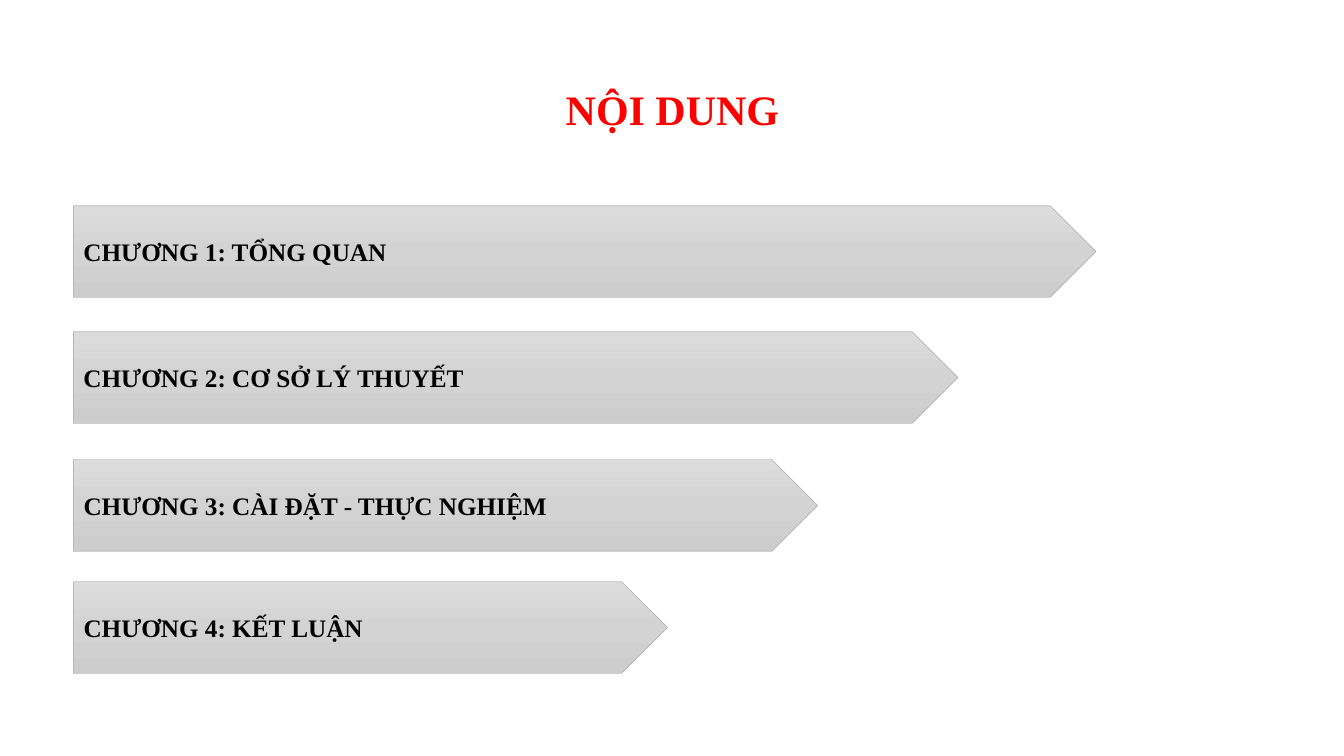
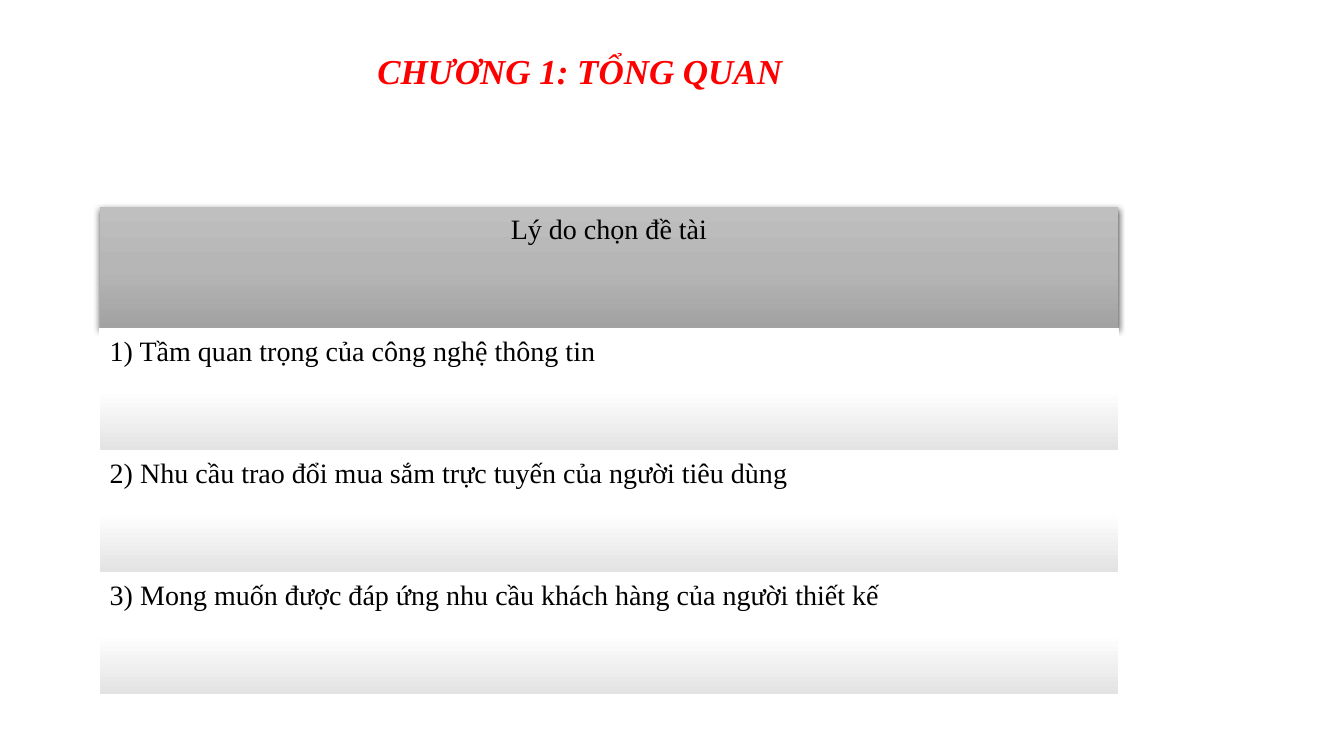
from copy import deepcopy
from dataclasses import dataclass

from lxml.etree import SubElement
from pptx import Presentation
from pptx.dml.color import RGBColor
from pptx.enum.shapes import MSO_SHAPE
from pptx.enum.text import MSO_ANCHOR, PP_ALIGN
from pptx.oxml.ns import qn
from pptx.util import Inches, Pt

# Content: each chapter has its text, top and arrow length in inches
CONTENTS_TITLE = "NỘI DUNG"
CHAPTERS = [
    ("CHƯƠNG 1: TỔNG QUAN", 2.04, 10.14),
    ("CHƯƠNG 2: CƠ SỞ LÝ THUYẾT", 3.29, 8.77),
    ("CHƯƠNG 3: CÀI ĐẶT - THỰC NGHIỆM", 4.56, 7.38),
    ("CHƯƠNG 4: KẾT LUẬN", 5.77, 5.89),
]
OVERVIEW_TITLE = "CHƯƠNG 1: TỔNG QUAN"
REASONS_HEADING = "Lý do chọn đề tài"
REASONS = [
    "1) Tầm quan trọng của công nghệ thông tin",
    "2) Nhu cầu trao đổi mua sắm trực tuyến của người tiêu dùng",
    "3) Mong muốn được đáp ứng nhu cầu khách hàng của người thiết kế",
]


@dataclass(frozen=True)
class Theme:
    font: str = "Times New Roman"
    title_color: str = "FF0000"
    text_color: str = "000000"
    contents_title_size: int = 30
    chapter_title_size: int = 25
    chapter_size: int = 18
    reason_size: int = 20
    arrow_gradient: tuple = ("DCDCDC", "D3D3D3", "CDCDCD")
    arrow_line: str = "B6B6B6"
    heading_gradient: tuple = ("BFBFBF", "B6B6B6", "A2A2A2")
    reason_gradient: tuple = ("FFFFFF", "FFFFFF", "E3E3E3")
    reason_line: str = "FFFFFF"
    line_width: float = 0.5


THEME = Theme()


def write_text(shape, text, size, color=THEME.text_color, bold=False, italic=False,
               align=PP_ALIGN.LEFT, anchor=MSO_ANCHOR.MIDDLE):
    frame = shape.text_frame
    frame.word_wrap = True
    frame.vertical_anchor = anchor
    frame.text = text
    paragraph = frame.paragraphs[0]
    paragraph.alignment = align
    font = paragraph.runs[0].font
    font.name, font.size = THEME.font, Pt(size)
    font.bold, font.italic = bold, italic
    font.color.rgb = RGBColor.from_string(color)


def fill_gradient(shape, colors):
    """Fill from top to bottom with evenly spaced colours."""
    shape.fill.gradient()
    shape.fill.gradient_angle = 270
    stop_list = next(shape._element.iter(qn("a:gsLst")))
    for _ in colors[2:]:
        stop_list.insert(1, deepcopy(stop_list[0]))
    for index, (stop, color) in enumerate(zip(shape.fill.gradient_stops, colors)):
        stop.position = index / (len(colors) - 1)
        stop.color.rgb = RGBColor.from_string(color)


def add_panel(slide, kind, box, gradient, line_color=None):
    shape = slide.shapes.add_shape(kind, *map(Inches, box))
    shape.shadow.inherit = False
    fill_gradient(shape, gradient)
    if line_color:
        shape.line.color.rgb = RGBColor.from_string(line_color)
        shape.line.width = Pt(THEME.line_width)
    else:
        shape.line.fill.background()
    return shape


def add_drop_shadow(shape):
    effects = shape._element.spPr.find(qn("a:effectLst"))
    shadow = SubElement(effects, qn("a:outerShdw"), blurRad=str(Pt(4.5)),
                        dist=str(Pt(1.5)), dir="5400000", rotWithShape="0")
    color = SubElement(shadow, qn("a:srgbClr"), val="000000")
    SubElement(color, qn("a:alpha"), val="63000")


def add_titled_slide(presentation, text, box, size, italic=False, anchor=MSO_ANCHOR.MIDDLE):
    slide = presentation.slides.add_slide(presentation.slide_layouts[5])
    title = slide.shapes.title
    title.left, title.top, title.width, title.height = map(Inches, box)
    write_text(title, text, size, THEME.title_color, bold=True, italic=italic,
               align=PP_ALIGN.CENTER, anchor=anchor)
    return slide


def build_contents(presentation):
    slide = add_titled_slide(presentation, CONTENTS_TITLE, (0.67, 0.76, 12, 0.64),
                             THEME.contents_title_size)
    for text, top, length in CHAPTERS:
        arrow = add_panel(slide, MSO_SHAPE.PENTAGON, (0.73, top, length, 0.91),
                          THEME.arrow_gradient, THEME.arrow_line)
        write_text(arrow, text, THEME.chapter_size, bold=True)


def build_overview(presentation):
    slide = add_titled_slide(presentation, OVERVIEW_TITLE, (1.08, 0.4, 9.34, 0.95),
                             THEME.chapter_title_size, italic=True, anchor=MSO_ANCHOR.TOP)
    slide.shapes.title.text_frame.margin_top = Inches(0.09)
    left, top, width, height = 0.99, 2.05, 10.1, 1.21

    # Heading band
    heading = add_panel(slide, MSO_SHAPE.RECTANGLE, (left, top, width, height),
                        THEME.heading_gradient)
    add_drop_shadow(heading)
    write_text(heading, REASONS_HEADING, THEME.reason_size,
               align=PP_ALIGN.CENTER, anchor=MSO_ANCHOR.TOP)

    # Reasons stacked below it
    for row, text in enumerate(REASONS, start=1):
        panel = add_panel(slide, MSO_SHAPE.RECTANGLE,
                          (left, top + row * height, width, height),
                          THEME.reason_gradient, THEME.reason_line)
        write_text(panel, text, THEME.reason_size, anchor=MSO_ANCHOR.TOP)


def main():
    presentation = Presentation()
    presentation.slide_width, presentation.slide_height = Inches(13.33), Inches(7.5)
    build_contents(presentation)
    build_overview(presentation)
    presentation.save("out.pptx")


if __name__ == "__main__":
    main()
